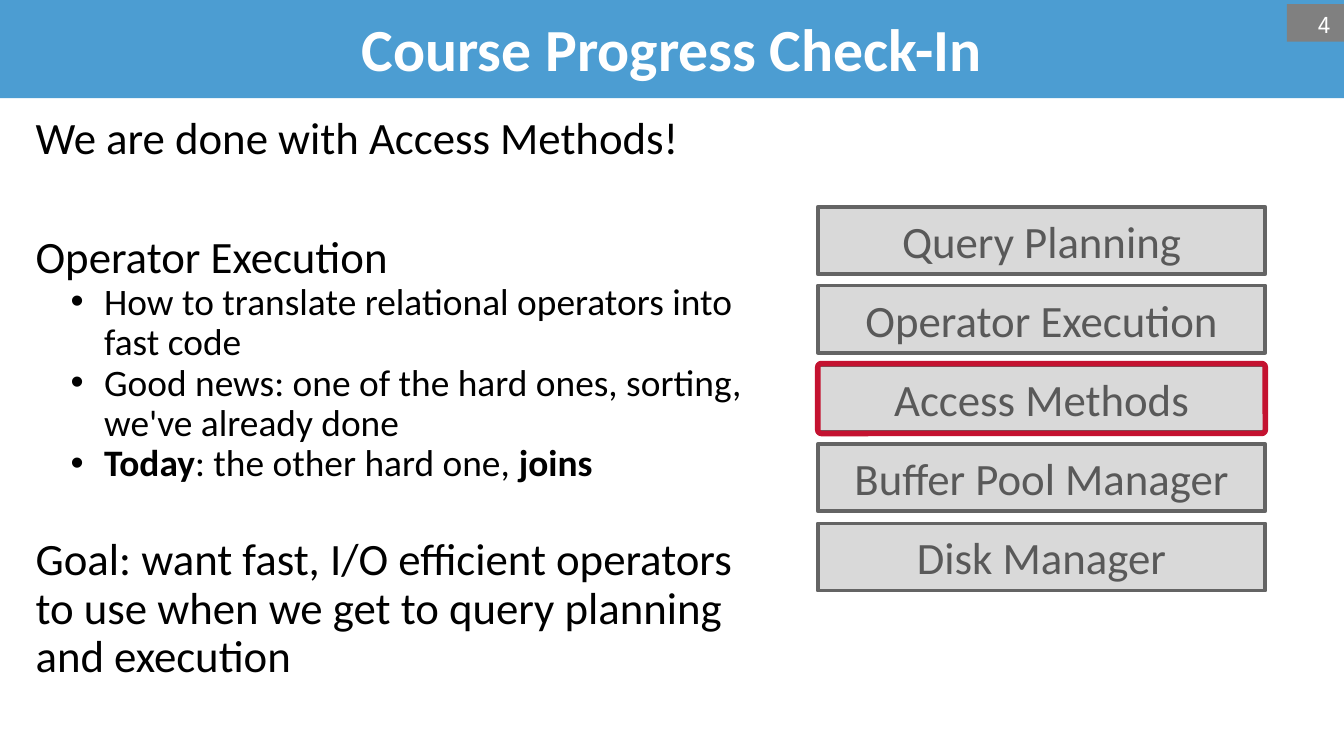
import pptx
import pptx.util
import pptx.dml.color
import pptx.enum.shapes
import pptx.enum.text
import pptx.oxml
import pptx.oxml.ns

RGB = pptx.dml.color.RGBColor
ALIGN = pptx.enum.text.PP_ALIGN
ANCHOR = pptx.enum.text.MSO_ANCHOR
SHAPE = pptx.enum.shapes.MSO_SHAPE
Pt = pptx.util.Pt

BLUE = RGB(0x4C, 0x9D, 0xD2)
WHITE = RGB(0xFF, 0xFF, 0xFF)
BLACK = RGB(0, 0, 0)
GREY = RGB(0x80, 0x80, 0x80)
PALE = RGB(0xD9, 0xD9, 0xD9)
EDGE = RGB(0x64, 0x64, 0x64)
INK = RGB(0x59, 0x59, 0x59)
RED = RGB(0xC4, 0x12, 0x30)
SANS = "Calibri"
MONO = "Noto Sans Mono"

LAYERS = ["Query Planning", "Operator Execution", "Access Methods",
          "Buffer Pool Manager", "Disk Manager"]
DONE = "Access Methods"
NOTES = [
    (0, 6, [("We are done with Access Methods!", False)]),
    (0, 38, [("Operator Execution", False)]),
    (1, 0, [("How to translate relational operators into fast code", False)]),
    (1, 0, [("Good news: one of the hard ones, sorting, we've already done",
             False)]),
    (1, 0, [("Today", True), (": the other hard one, ", False),
            ("joins", True)]),
    (0, 28, [("Goal: want fast, I/O efficient operators to use when we get "
              "to query planning and execution", False)]),
]


def px(num):
    """Turn px, 200 to the inch, into EMU."""
    return pptx.util.Emu(num * 4572)


def place(shape, box):
    """Move a shape to a box of left, top, width and height in px."""
    shape.left, shape.top, shape.width, shape.height = map(px, box)


def style(para, size, color, face=SANS, bold=False):
    """Set the font of a whole paragraph."""
    font = para.font
    font.size, font.name, font.bold = Pt(size), face, bold
    font.color.rgb = color


def bullet(para, left, hang, mark=None):
    """Set the indent of a paragraph and its bullet, if any."""
    props = para._p.get_or_add_pPr()
    props.set("marL", str(px(left)))
    props.set("indent", str(px(-hang)))
    tag = f'a:buChar char="{mark}"' if mark else "a:buNone"
    names = pptx.oxml.ns.nsdecls("a")
    item = pptx.oxml.parse_xml(f"<{tag} {names}/>")
    props.find(pptx.oxml.ns.qn("a:defRPr")).addprevious(item)


def block(slide, box, kind=SHAPE.RECTANGLE, fill=None, line=None, width=2):
    """Add a flat shape with an optional fill and line."""
    shape = slide.shapes.add_shape(kind, *map(px, box))
    shape.shadow.inherit = False
    if fill is None:
        shape.fill.background()
    else:
        shape.fill.solid()
        shape.fill.fore_color.rgb = fill
    if line is None:
        shape.line.fill.background()
    else:
        shape.line.color.rgb = line
        shape.line.width = Pt(width)
    return shape


def header(slide, box, text):
    """Fill the title placeholder as a coloured band."""
    title = slide.shapes.title
    place(title, box)
    title.fill.solid()
    title.fill.fore_color.rgb = BLUE
    title.text_frame.text = text
    title.text_frame.vertical_anchor = ANCHOR.MIDDLE
    para = title.text_frame.paragraphs[0]
    para.alignment = ALIGN.CENTER
    style(para, 32, WHITE, bold=True)


def body(slide, box, notes):
    """Fill the body placeholder with headings and bullets."""
    holder = slide.placeholders[1]
    place(holder, box)
    frame = holder.text_frame
    frame.auto_size = pptx.enum.text.MSO_AUTO_SIZE.NONE
    for row, (level, gap, runs) in enumerate(notes):
        para = frame.add_paragraph() if row else frame.paragraphs[0]
        para.level = level
        para.line_spacing = 0.9
        para.space_before = Pt(gap)
        style(para, 20 if level else 24, BLACK)
        if level:
            bullet(para, 102, 50, "•")
        else:
            bullet(para, 0, 0)
        for text, bold in runs:
            run = para.add_run()
            run.text = text
            if bold:
                run.font.bold = True


def number(slide, box, text):
    """Add the page number tab."""
    frame = block(slide, box, fill=GREY).text_frame
    frame.text = text
    frame.vertical_anchor = ANCHOR.TOP
    para = frame.paragraphs[0]
    para.alignment = ALIGN.RIGHT
    style(para, 12, WHITE, MONO)


def stack(slide, box, names, done):
    """Spread the layers evenly down a box and ring the finished one."""
    left, top, width, height = box
    tall = 100
    for row, name in enumerate(names):
        high = top + row * (height - tall) // (len(names) - 1)
        cell = block(slide, (left, high, width, tall), fill=PALE, line=EDGE)
        frame = cell.text_frame
        frame.text = name
        frame.vertical_anchor = ANCHOR.MIDDLE
        frame.margin_left = frame.margin_right = px(10)
        frame.margin_top = frame.margin_bottom = px(10)
        para = frame.paragraphs[0]
        para.alignment = ALIGN.CENTER
        style(para, 24, INK)
        if name == done:
            ring = (left, high - 2, width, tall + 4)
    mark = block(slide, ring, SHAPE.ROUNDED_RECTANGLE, line=RED, width=3)
    mark.adjustments[0] = 0.05


def main():
    """Build the slide and save it."""
    deck = pptx.Presentation()
    deck.slide_width, deck.slide_height = px(2000), px(1125)
    slide = deck.slides.add_slide(deck.slide_layouts[1])
    header(slide, (0, -4, 2000, 150), "Course Progress Check-In")
    body(slide, (33, 162, 1134, 866), NOTES)
    number(slide, (1915, 6, 85, 56), "4")
    stack(slide, (1217, 308, 666, 571), LAYERS, DONE)
    deck.save("out.pptx")


if __name__ == "__main__":
    main()
